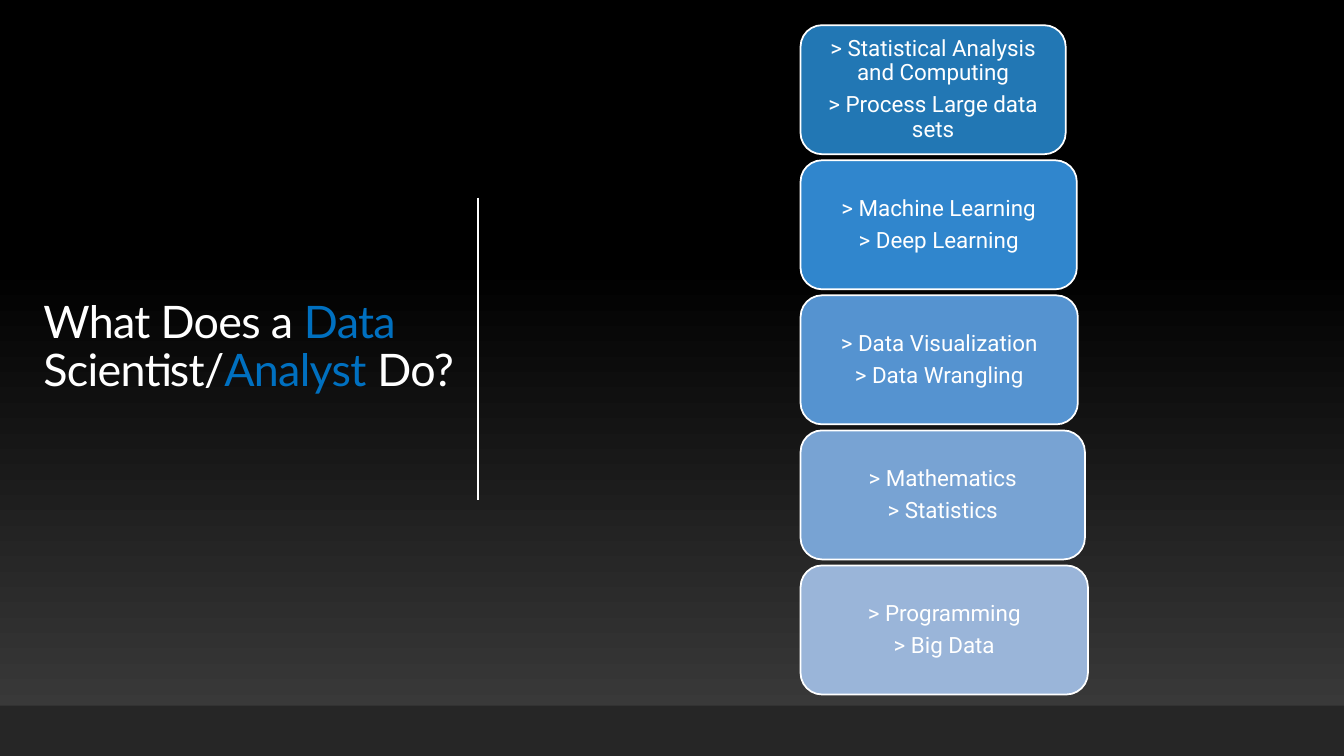
from pptx import Presentation
from pptx.dml.color import RGBColor
from pptx.enum import shapes, text
from pptx.oxml.ns import qn
from pptx.util import Inches, Pt

WHITE = "FFFFFF"
BLUE = "0070C0"

TITLE = [("What Does a ", WHITE), ("Data ", BLUE), ("Scientist/", WHITE),
         ("Analyst", BLUE), (" Do?", WHITE)]

SKILLS = [
    (2.63, "2277B4", ["> Statistical Analysis and Computing",
                      "> Process Large data sets"]),
    (2.74, "3086CD", ["> Machine Learning", "> Deep Learning"]),
    (2.75, "5593D0", ["> Data Visualization", "> Data Wrangling"]),
    (2.82, "78A3D3", ["> Mathematics", "> Statistics"]),
    (2.85, "9AB5D9", ["> Programming", "> Big Data"]),
]


def color(code):
    return RGBColor.from_string(code)


def shade(slide):
    """Fade the background from grey at the bottom to black."""
    fill = slide.background.fill
    fill.gradient()
    fill.gradient_angle = 90
    for stop, place, code in zip(fill.gradient_stops, (0, 0.65), ("3F3F3F", "000000")):
        stop.position = place
        stop.color.rgb = color(code)


def add_title(slide):
    title = slide.shapes.title
    title.left, title.top = Inches(0.33), Inches(1.76)
    title.width, title.height = Inches(4.34), Inches(3.39)
    frame = title.text_frame
    frame.word_wrap = True
    frame.auto_size = text.MSO_AUTO_SIZE.NONE
    frame.vertical_anchor = text.MSO_ANCHOR.MIDDLE
    para = frame.paragraphs[0]
    para.alignment = text.PP_ALIGN.LEFT
    para.line_spacing = 0.9
    para.font.size = Pt(32)
    para.font.name = "Lato"
    for words, code in TITLE:
        run = para.add_run()
        run.text = words
        run.font.color.rgb = color(code)
        run.font._element.set("spc", "-50")


def add_rule(slide, x, top, end):
    rule = slide.shapes.add_connector(
        shapes.MSO_CONNECTOR.STRAIGHT, Inches(x), Inches(top), Inches(x), Inches(end))
    rule.line.color.rgb = color(WHITE)
    rule.line.width = Pt(1)
    props = rule._element.spPr
    props.append(props.makeelement(qn("a:effectLst"), {}))


def add_box(slide, kind, left, top, width, height, code):
    box = slide.shapes.add_shape(
        kind, Inches(left), Inches(top), Inches(width), Inches(height))
    box.shadow.inherit = False
    box.fill.solid()
    box.fill.fore_color.rgb = color(code)
    box.line.fill.background()
    return box


def add_skill(slide, top, width, code, lines):
    box = add_box(slide, shapes.MSO_SHAPE.ROUNDED_RECTANGLE, 7.94, top, width, 1.28, code)
    box.line.color.rgb = color(WHITE)
    box.line.width = Pt(1.25)
    frame = box.text_frame
    frame.word_wrap = True
    frame.vertical_anchor = text.MSO_ANCHOR.MIDDLE
    frame.margin_left = frame.margin_right = Inches(0.07)
    frame.margin_top = frame.margin_bottom = Inches(0.03)
    frame.text = "\n".join(lines)
    for para in frame.paragraphs:
        para.alignment = text.PP_ALIGN.CENTER
        para.line_spacing = 0.9
        para.space_after = Pt(5.6)
        para.font.size = Pt(16)
        para.font.name = "Roboto"
        para.font.color.rgb = color(WHITE)


def main():
    deck = Presentation()
    deck.slide_width, deck.slide_height = Inches(13.33), Inches(7.5)
    slide = deck.slides.add_slide(deck.slide_layouts[5])
    shade(slide)
    add_title(slide)
    add_rule(slide, 4.74, 1.96, 4.96)
    add_box(slide, shapes.MSO_SHAPE.RECTANGLE, 0, 7, 13.33, 0.5, "262626")
    for row, (width, code, lines) in enumerate(SKILLS):
        add_skill(slide, 0.25 + row * 1.34, width, code, lines)
    deck.save("out.pptx")


if __name__ == "__main__":
    main()
